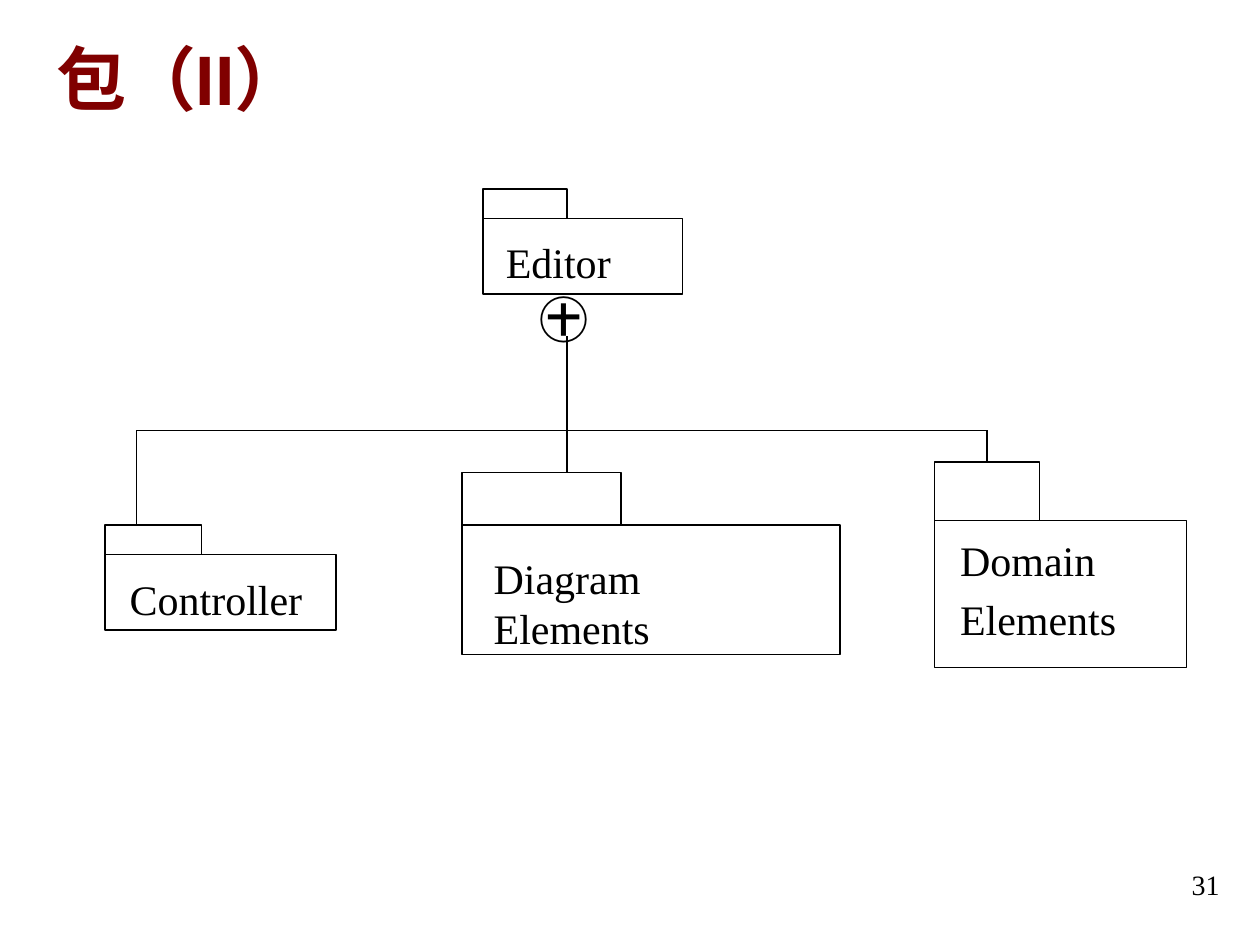
from lxml.etree import SubElement
from pptx import Presentation
from pptx.dml.color import RGBColor
from pptx.enum.shapes import MSO_CONNECTOR, MSO_SHAPE
from pptx.enum.text import MSO_ANCHOR, MSO_AUTO_SIZE, PP_ALIGN
from pptx.oxml.ns import qn
from pptx.util import Pt

BLACK = RGBColor(0, 0, 0)
MAROON = RGBColor(0x80, 0, 0)
SERIF = "Times New Roman"

prs = Presentation()
prs.slide_width, prs.slide_height = Pt(720), Pt(540)
s = prs.slides.add_slide(prs.slide_layouts[6])


def add_text(shapes, box, lines, size, font=SERIF, color=BLACK, bold=False):
    """Add a text box with one paragraph per line and return its text frame."""
    tf = shapes.add_textbox(*[Pt(v) for v in box]).text_frame
    tf.word_wrap = True
    for i, line in enumerate(lines):
        p = tf.add_paragraph() if i else tf.paragraphs[0]
        r = p.add_run()
        r.text = line
        r.font.name, r.font.size = font, Pt(size)
        r.font.bold, r.font.color.rgb = bold, color
    return tf


# Title
tf = add_text(s.shapes, (25, -1, 612, 90), ["包（II）"], 40, "Arial", MAROON, True)
tf.vertical_anchor = MSO_ANCHOR.MIDDLE

# Packages: left, top, tab size, body size, label box, label lines
packages = [
    (276, 108, (48, 17), (114, 43), (282, 131.5, 102, 36), ["Editor"]),
    (60, 300, (55, 17), (132, 43), (67, 324, 118, 36), ["Controller"]),
    (264, 270, (91, 30), (216, 74), (275, 312, 192, 65), ["Diagram Elements"]),
    (534, 264, (60, 33.5), (144, 84), (541.5, 311, 129, 60), ["Domain", "Elements"]),
]
tabs = []
for x, y, tab, body, label, lines in packages:
    group = s.shapes.add_group_shape()
    for top, (w, h) in ((y + tab[1], body), (y, tab)):
        sp = group.shapes.add_shape(MSO_SHAPE.RECTANGLE, Pt(x), Pt(top), Pt(w), Pt(h))
        sp.shadow.inherit = False
        sp.fill.background()
        sp.line.color.rgb, sp.line.width = BLACK, Pt(0.75)
    tabs.append(sp)
    tf = add_text(group.shapes, label, lines, 24)
    tf.auto_size = MSO_AUTO_SIZE.SHAPE_TO_FIT_TEXT
    if len(lines) > 1:
        for p in tf.paragraphs:
            p.line_spacing = 0.65
        for p in tf.paragraphs[1:]:
            p.space_before = Pt(15)

# Containment symbol
tf = add_text(s.shapes, (301, 162, 42.5, 41), ["㊉"], 28, bold=True)
tf.word_wrap = False
tf.auto_size = MSO_AUTO_SIZE.SHAPE_TO_FIT_TEXT

# Containment tree
BRANCH_Y = 246
branches = [
    (78, BRANCH_Y, 78, 300),
    (78, BRANCH_Y, 564, BRANCH_Y),
    (324, 270, 324, 192),
    (564, BRANCH_Y, 564, 264),
]
for ends in branches:
    line = s.shapes.add_connector(MSO_CONNECTOR.STRAIGHT, *[Pt(v) for v in ends])
    line.line.color.rgb, line.line.width = BLACK, Pt(0.75)
    SubElement(line._element.spPr, qn("a:effectLst"))
line.end_connect(tabs[-1], 0)

# Page number
tf = add_text(s.shapes, (536, 492, 168, 37), ["31"], 16)
tf.paragraphs[0].alignment = PP_ALIGN.RIGHT

prs.save("out.pptx")
